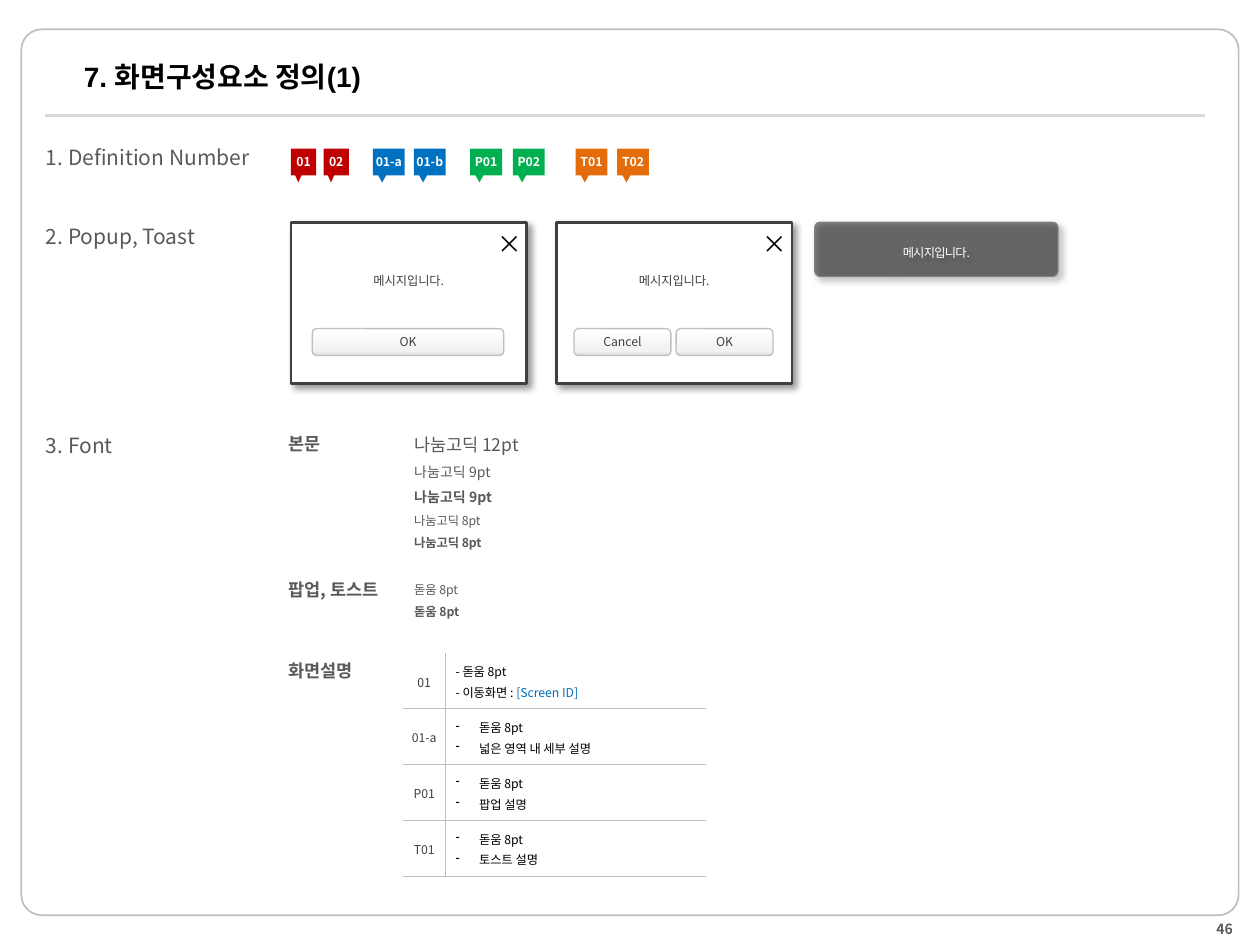
from dataclasses import dataclass

from lxml import etree
from pptx import Presentation
from pptx.dml.color import RGBColor
from pptx.enum.shapes import MSO_CONNECTOR, MSO_SHAPE
from pptx.enum.text import MSO_ANCHOR, MSO_AUTO_SIZE, PP_ALIGN
from pptx.oxml import parse_xml
from pptx.oxml.ns import nsdecls, qn
from pptx.util import Pt

LEFT, CENTER, RIGHT = PP_ALIGN.LEFT, PP_ALIGN.CENTER, PP_ALIGN.RIGHT
TOP, MIDDLE = MSO_ANCHOR.TOP, MSO_ANCHOR.MIDDLE
RECT, ROUND = MSO_SHAPE.RECTANGLE, MSO_SHAPE.ROUNDED_RECTANGLE
CALLOUT = MSO_SHAPE.RECTANGULAR_CALLOUT
STRAIGHT = MSO_CONNECTOR.STRAIGHT
NO_AUTOFIT, FIT_SHAPE = MSO_AUTO_SIZE.NONE, MSO_AUTO_SIZE.SHAPE_TO_FIT_TEXT
NO_STYLE_TABLE = "{2D5ABB26-0587-4C30-8999-92F81FD0307C}"
PADDING = (6.5, 3, 6.5, 3)


@dataclass(frozen=True)
class Theme:
    title_font: str = "Arial"
    font: str = "Noto Sans CJK KR"
    black: str = "000000"
    white: str = "FFFFFF"
    dark: str = "404040"
    text: str = "595959"
    toast_edge: str = "808080"
    edge: str = "BFBFBF"
    rule: str = "D9D9D9"
    button_shade: str = "F2F2F2"
    red: str = "C00000"
    blue: str = "0070C0"
    green: str = "00B050"
    orange: str = "E46C0A"
    title_size: float = 16
    close_size: float = 14
    section_size: float = 12
    label_size: float = 10
    body_size: float = 8
    small_size: float = 7


THEME = Theme()


@dataclass(frozen=True)
class Box:
    x: float
    y: float
    w: float
    h: float

    def inner(self, dx, dy, w, h):
        return Box(self.x + dx, self.y + dy, w, h)

    def emu(self):
        return Pt(self.x), Pt(self.y), Pt(self.w), Pt(self.h)


def rgb(color):
    return RGBColor.from_string(color)


def style(paragraph, size, color, bold=False, align=LEFT, spacing=None, font=THEME.font):
    paragraph.alignment = align
    if spacing:
        paragraph.line_spacing = spacing
    paragraph.font.size = Pt(size)
    paragraph.font.bold = bold
    paragraph.font.color.rgb = rgb(color)
    paragraph.font.name = font
    properties = paragraph._p.pPr.find(qn("a:defRPr"))
    etree.SubElement(properties, qn("a:ea")).set("typeface", THEME.font)
    return properties


def set_padding(target, padding):
    target.margin_left, target.margin_top, target.margin_right, target.margin_bottom = map(Pt, padding)


def write(frame, text, size, color, bold=False, align=CENTER, anchor=MIDDLE,
          padding=PADDING, spacing=None):
    frame.word_wrap = True
    frame.vertical_anchor = anchor
    set_padding(frame, padding)
    paragraph = frame.paragraphs[0]
    paragraph.text = text
    return style(paragraph, size, color, bold, align, spacing)


def add_label(slide, box, text, size, color=THEME.text, bold=False, align=LEFT):
    frame = slide.shapes.add_textbox(*box.emu()).text_frame
    write(frame, text, size, color, bold, align, TOP)
    frame.word_wrap = False
    frame.auto_size = FIT_SHAPE


def add_panel(slide, kind, box, fill=None, edge=None, width=0.75, shadow=False):
    panel = slide.shapes.add_shape(kind, *box.emu())
    panel.shadow.inherit = False
    if fill:
        panel.fill.solid()
        panel.fill.fore_color.rgb = rgb(fill)
    else:
        panel.fill.background()
    if edge:
        panel.line.color.rgb = rgb(edge)
        panel.line.width = Pt(width)
    else:
        panel.line.fill.background()
    if shadow:
        panel._element.spPr.find(qn("a:effectLst")).append(parse_xml(
            f'<a:outerShdw {nsdecls("a")} blurRad="{Pt(4)}" dist="{Pt(3)}" dir="2700000" '
            f'algn="tl" rotWithShape="0"><a:srgbClr val="{THEME.black}">'
            '<a:alpha val="40000"/></a:srgbClr></a:outerShdw>'))
    return panel


def add_page(slide, box):
    frame = add_panel(slide, ROUND, box, edge=THEME.edge, width=1)
    frame.adjustments[0] = 0.023
    rule_y = Pt(box.y + 49.2)
    rule = slide.shapes.add_connector(STRAIGHT, Pt(box.x + 13.4), rule_y, Pt(box.x + 676.6), rule_y)
    rule.line.color.rgb = rgb(THEME.rule)
    rule.line.width = Pt(1.5)
    etree.SubElement(rule._element.spPr, qn("a:effectLst"))

    title = slide.shapes.title
    title.left, title.top, title.width, title.height = box.inner(28.5, -4, 638.6, 61.9).emu()
    heading = title.text_frame
    heading.text = "7. 화면구성요소 정의(1)"
    heading.auto_size = NO_AUTOFIT
    heading.vertical_anchor = MIDDLE
    style(heading.paragraphs[0], THEME.title_size, THEME.black, True, font=THEME.title_font)

    page_number = slide.shapes.add_textbox(*box.inner(531, 508.3, 167.8, 11.5).emu())
    write(page_number.text_frame, "46", THEME.body_size, THEME.text, True, RIGHT)


def add_callouts(slide, box):
    groups = (
        (0, 14.4, 18.7, THEME.red, ("01", "02")),
        (46.8, 18.2, 23.4, THEME.blue, ("01-a", "01-b")),
        (102.4, 18.2, 24.4, THEME.green, ("P01", "P02")),
        (162.6, 18.2, 23.8, THEME.orange, ("T01", "T02")),
    )
    for start, width, pitch, color, numbers in groups:
        for i, number in enumerate(numbers):
            callout = add_panel(slide, CALLOUT, box.inner(start + i * pitch, 0, width, box.h), color)
            callout.adjustments[0], callout.adjustments[1] = -0.208, 0.77
            write(callout.text_frame, number, THEME.small_size, THEME.white, True, padding=(0, 3, 0, 3))


def add_button(slide, box, caption):
    button = add_panel(slide, ROUND, box, edge=THEME.edge)
    stops = ((0, THEME.white), (84, THEME.button_shade), (100, THEME.rule))
    stop_xml = "".join(f'<a:gs pos="{at * 1000}"><a:srgbClr val="{color}"/></a:gs>' for at, color in stops)
    properties = button._element.spPr
    properties.replace(properties.find(qn("a:noFill")), parse_xml(
        f'<a:gradFill {nsdecls("a")} rotWithShape="1"><a:gsLst>{stop_xml}</a:gsLst>'
        '<a:lin ang="5400000" scaled="0"/></a:gradFill>'))
    write(button.text_frame, caption, THEME.small_size, THEME.dark)


def add_popup(slide, box, captions, button_width, gap=3):
    popup = add_panel(slide, RECT, box, THEME.white, THEME.dark, 1.5, shadow=True)
    write(popup.text_frame, "메시지입니다.", THEME.small_size, THEME.dark, padding=(6.5, 3, 6.5, 28.4))
    total = len(captions) * (button_width + gap) - gap
    for i, caption in enumerate(captions):
        dx = (box.w - total) / 2 + i * (button_width + gap) - 0.4
        add_button(slide, box.inner(dx, 60.8, button_width, 15.4), caption)
    add_label(slide, box.inner(111.4, 0.6, 24.5, 23), "×", THEME.close_size, THEME.black, align=CENTER)


def add_toast(slide, box):
    toast = add_panel(slide, ROUND, box, THEME.black, THEME.toast_edge, shadow=True)
    toast.adjustments[0] = 0.1
    color = toast._element.spPr.find(qn("a:solidFill"))[0]
    etree.SubElement(color, qn("a:alpha")).set("val", "50000")
    properties = write(toast.text_frame, "메시지입니다.", THEME.small_size, THEME.white, spacing=1.5)
    properties.set("spc", "-40")


def add_samples(slide, box, samples):
    frame = slide.shapes.add_textbox(*box.emu()).text_frame
    frame.word_wrap = True
    frame.auto_size = NO_AUTOFIT
    set_padding(frame, PADDING)
    for i, (text, size, bold) in enumerate(samples):
        paragraph = frame.add_paragraph() if i else frame.paragraphs[0]
        paragraph.text = text
        style(paragraph, size, THEME.text, bold, spacing=1.5)


def add_border(cell, side):
    cell._tc.get_or_add_tcPr().append(parse_xml(
        f'<a:{side} {nsdecls("a")} w="{Pt(0.5)}"><a:solidFill>'
        f'<a:srgbClr val="{THEME.edge}"/></a:solidFill></a:{side}>'))


def add_descriptions(slide, box):
    rows = (
        ("01", ("- 돋움 8pt", "- 이동화면 : "), False),
        ("01-a", ("돋움 8pt", "넓은 영역 내 세부 설명"), True),
        ("P01", ("돋움 8pt", "팝업 설명"), True),
        ("T01", ("돋움 8pt", "토스트 설명"), True),
    )
    table = slide.shapes.add_table(len(rows), 2, *box.emu()).table
    table.first_row = table.horz_banding = False
    table._tbl.tblPr.find(qn("a:tableStyleId")).text = NO_STYLE_TABLE
    table.columns[0].width, table.columns[1].width = Pt(24), Pt(box.w - 24)
    for r, (number, lines, bulleted) in enumerate(rows):
        table.rows[r].height = Pt(box.h / len(rows))
        number_cell, detail_cell = table.cell(r, 0), table.cell(r, 1)
        for cell, side, inset in ((number_cell, "lnR", 2.2), (detail_cell, "lnL", 6)):
            cell.vertical_anchor = MIDDLE
            set_padding(cell, (inset, 3.6, inset, 4.2))
            add_border(cell, side)
            add_border(cell, "lnB")
            cell.fill.background()
        number_cell.text = number
        style(number_cell.text_frame.paragraphs[0], THEME.small_size, THEME.dark, align=CENTER, spacing=Pt(12))
        detail_cell.text = "\n".join(lines)
        for paragraph in detail_cell.text_frame.paragraphs:
            if bulleted:
                properties = paragraph._p.get_or_add_pPr()
                properties.set("marL", str(Pt(13.5)))
                properties.set("indent", str(-Pt(13.5)))
                etree.SubElement(properties, qn("a:buChar")).set("char", "-")
            style(paragraph, THEME.small_size, THEME.black, spacing=Pt(12))
    screen_id = table.cell(0, 1).text_frame.paragraphs[1].add_run()
    screen_id.text = "[Screen ID]"
    screen_id.font.color.rgb = rgb(THEME.blue)


def main():
    deck = Presentation()
    deck.slide_width, deck.slide_height = Pt(720), Pt(540)
    slide = deck.slides.add_slide(deck.slide_layouts[5])
    add_page(slide, Box(12.2, 16.8, 695.6, 506.2))

    for y, width, text in ((79.6, 129.6, "1. Definition Number"), (124.6, 103.7, "2. Popup, Toast"),
                           (244.1, 53.3, "3. Font")):
        add_label(slide, Box(19.8, y, width, 20.9), text, THEME.section_size)
    add_callouts(slide, Box(166.3, 85, 258, 15.2))
    add_popup(slide, Box(166.3, 127, 134.6, 92.2), ("OK",), 109.4)
    add_popup(slide, Box(318, 127, 134.6, 92.2), ("Cancel", "OK"), 55.4)
    add_toast(slide, Box(465.6, 127, 139, 31))

    for y, width, text in ((244.3, 32.4, "본문"), (327.6, 69.1, "팝업, 토스트"), (374.4, 52.6, "화면설명")):
        add_label(slide, Box(158.4, y, width, 18.7), text, THEME.label_size, bold=True)
    add_samples(slide, Box(230.2, 239.2, 90, 79.2), (
        ("나눔고딕 12pt", THEME.label_size, False),
        ("나눔고딕 9pt", THEME.body_size, False), ("나눔고딕 9pt", THEME.body_size, True),
        ("나눔고딕 8pt", THEME.small_size, False), ("나눔고딕 8pt", THEME.small_size, True)))
    add_samples(slide, Box(230.2, 325.4, 60, 31.7), (
        ("돋움 8pt", THEME.small_size, False), ("돋움 8pt", THEME.small_size, True)))
    add_descriptions(slide, Box(230.4, 373, 172.8, 127.6))
    deck.save("out.pptx")


if __name__ == "__main__":
    main()
